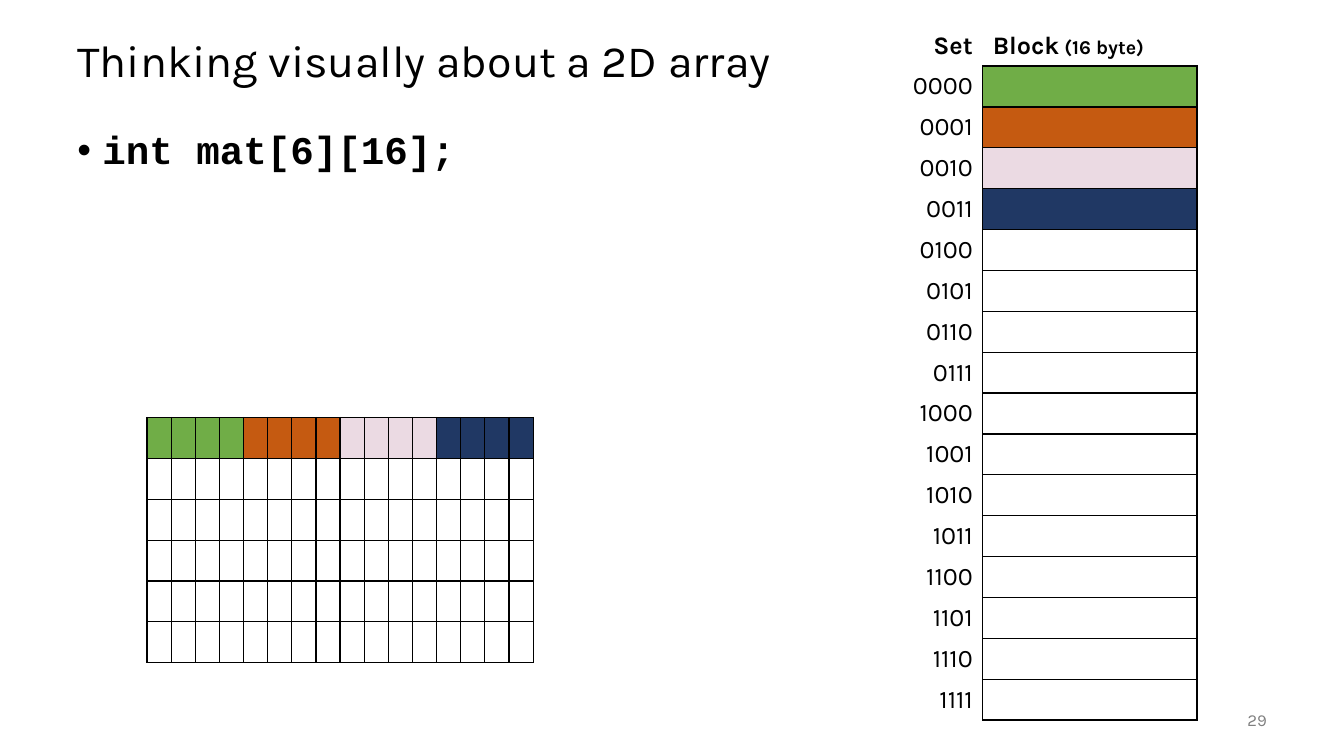
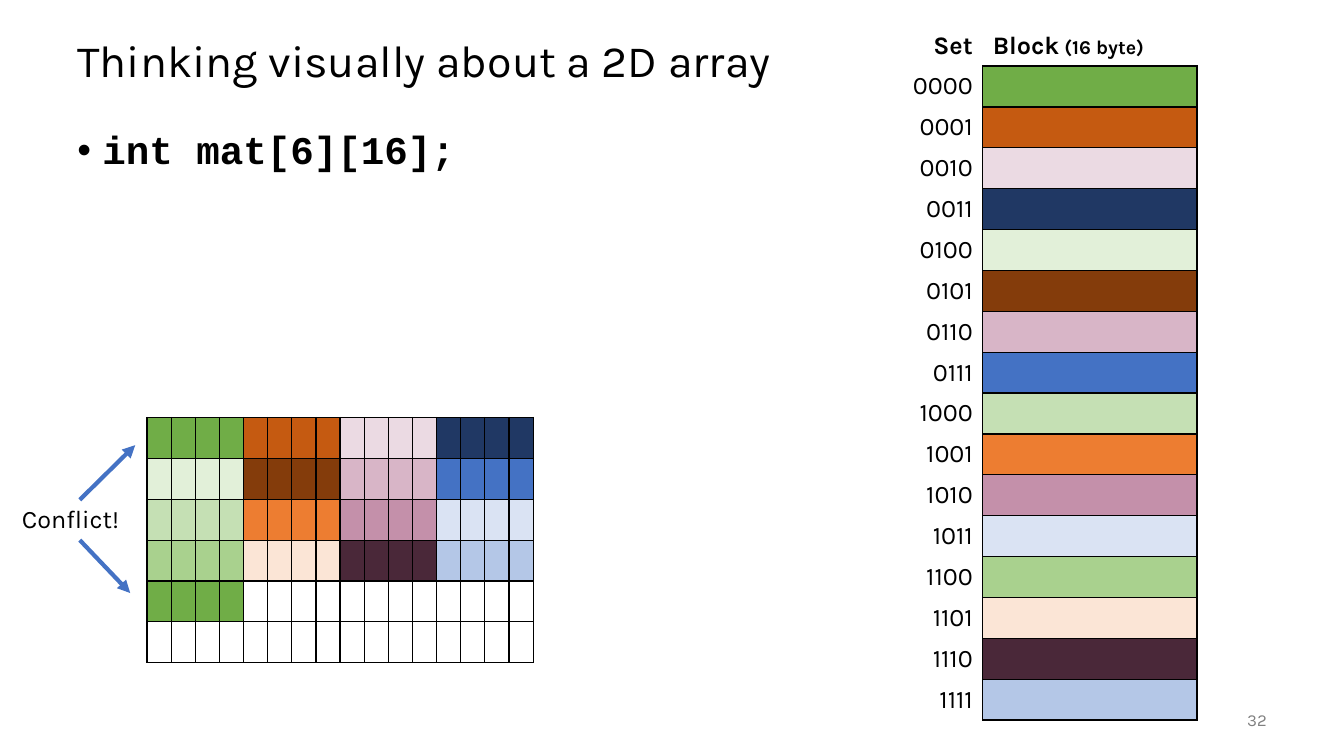
"""Build two slides that map a 2D array onto the sets of a cache."""
import pptx
import pptx.dml.color
import pptx.enum.shapes
import pptx.enum.text
import pptx.oxml
import pptx.oxml.ns
import pptx.util

ALIGN = pptx.enum.text.PP_ALIGN
ANCHOR = pptx.enum.text.MSO_ANCHOR
NS = pptx.oxml.ns.nsdecls("a")
PLAIN = "{2D5ABB26-0587-4C30-8999-92F81FD0307C}"
COLS, ROWS = 160, 90
BLACK, WHITE, GREY, BLUE = "000000", "FFFFFF", "808080", "4472C4"
HUES = [
    "70AD47", "C55A11", "EBDAE3", "203864",
    "E2F0D9", "843C0B", "D8B5C7", "4472C4",
    "C5E0B4", "ED7D31", "C490AA", "DAE3F3",
    "A9D18E", "FBE5D6", "4A2839", "B4C7E7",
]
SETS = len(HUES)
WIDE, HIGH, RUN = 16, 6, 4
STEP = 4.87
ALL = "LRTB"


def tint(code):
    return pptx.dml.color.RGBColor.from_string(code)


def node(xml):
    return pptx.oxml.parse_xml(xml)


def apply(item, form):
    for key, val in form.items():
        setattr(item, key, val)


class Deck:
    base = {"name": "Karla", "size": 18, "bold": False}

    def __init__(self):
        self.prs = pptx.Presentation()
        self.prs.slide_width = pptx.util.Inches(13.33)
        self.prs.slide_height = pptx.util.Inches(7.5)
        self.slide = None

    def x(self, cols):
        return round(self.prs.slide_width * cols / COLS)

    def y(self, rows):
        return round(self.prs.slide_height * rows / ROWS)

    def area(self, left, top, width, height):
        return self.x(left), self.y(top), self.x(width), self.y(height)

    def words(self, para, text, color=BLACK, **form):
        run = para.add_run()
        run.text = text
        form = {**self.base, **form}
        form["size"] = pptx.util.Pt(form["size"])
        apply(run.font, form)
        run.font.color.rgb = tint(color)

    def place(self, shape, area, anchor):
        names = ("left", "top", "width", "height")
        apply(shape, dict(zip(names, self.area(*area))))
        apply(shape.text_frame, {
            "word_wrap": True,
            "auto_size": pptx.enum.text.MSO_AUTO_SIZE.NONE,
            "vertical_anchor": anchor,
        })
        para = shape.text_frame.paragraphs[0]
        apply(para, {"alignment": ALIGN.LEFT, "line_spacing": 0.9,
                     "space_before": pptx.util.Pt(0)})
        return para

    def start(self, title, code, page):
        self.slide = self.prs.slides.add_slide(self.prs.slide_layouts[1])
        head, body = self.slide.placeholders
        para = self.place(head, (8, 3, 144, 9), ANCHOR.MIDDLE)
        self.words(para, title, size=32)
        para = self.place(body, (8, 15, 144, 66), ANCHOR.TOP)
        props = para._p.get_or_add_pPr()
        inset = pptx.util.Inches(0.25)
        props.set("marL", str(inset))
        props.set("indent", str(-inset))
        props.append(node(f'<a:buFont {NS} typeface="Arial"/>'))
        props.append(node(f'<a:buChar {NS} char="•"/>'))
        self.words(para, code, name="Courier New", size=28, bold=True)
        self.label(page, (140, 83.4, 12, 4.8), ALIGN.RIGHT, size=12, color=GREY)

    def label(self, text, area, align=ALIGN.LEFT, **form):
        box = self.slide.shapes.add_textbox(*self.area(*area))
        para = self.place(box, area, ANCHOR.MIDDLE)
        para.alignment = align
        self.words(para, text, **form)

    def table(self, left, top, widths, count):
        area = self.area(left, top, sum(widths), STEP * count)
        frame = self.slide.shapes.add_table(count, len(widths), *area)
        table = frame.table
        apply(table, {"first_row": False, "horz_banding": False})
        table._tbl.tblPr.find(pptx.oxml.ns.qn("a:tableStyleId")).text = PLAIN
        for col, width in zip(table.columns, widths):
            col.width = self.x(width)
        for row in table.rows:
            row.height = self.y(STEP)
        return table

    def cell(self, cell, color=WHITE, sides="", runs=(), align=ALIGN.LEFT):
        apply(cell, {"margin_top": 0, "margin_bottom": 0,
                     "vertical_anchor": ANCHOR.MIDDLE})
        cell.fill.solid()
        cell.fill.fore_color.rgb = tint(color)
        props = cell._tc.get_or_add_tcPr()
        for spot, side in enumerate(sides):
            props.insert(spot, node(
                f'<a:ln{side} {NS} w="12700"><a:solidFill>'
                f'<a:srgbClr val="{BLACK}"/></a:solidFill></a:ln{side}>'))
        para = cell.text_frame.paragraphs[0]
        para.alignment = align
        for text, form in runs:
            self.words(para, text, **form)

    def cache(self, used):
        table = self.table(106.3, 3, (10.7, 25.5), SETS + 1)
        bold = {"bold": True}
        self.cell(table.cell(0, 0), runs=[("Set", bold)], align=ALIGN.RIGHT)
        self.cell(table.cell(0, 1), sides="B", runs=[
            ("Block", bold), (" (16 byte)", {"bold": True, "size": 14})])
        for num, hue in enumerate(HUES):
            name = [(f"{num:04b}", {})]
            self.cell(table.cell(num + 1, 0), sides="R", runs=name,
                      align=ALIGN.RIGHT)
            self.cell(table.cell(num + 1, 1), hue if num < used else WHITE, ALL)

    def array(self, used):
        table = self.table(17.5, 49.7, [2.87] * WIDE, HIGH)
        for row in range(HIGH):
            for col in range(WIDE):
                block = (row * WIDE + col) // RUN
                hue = HUES[block % SETS] if block < used else WHITE
                self.cell(table.cell(row, col), hue, ALL)

    def arrow(self, start, end):
        line = self.slide.shapes.add_connector(
            pptx.enum.shapes.MSO_CONNECTOR.STRAIGHT,
            self.x(start[0]), self.y(start[1]), self.x(end[0]), self.y(end[1]))
        line.line.width = pptx.util.Pt(3)
        line.line.color.rgb = tint(BLUE)
        line.line._get_or_add_ln().append(
            node(f'<a:tailEnd {NS} type="triangle"/>'))
        line._element.spPr.append(node(f"<a:effectLst {NS}/>"))


def main():
    deck = Deck()
    for page, used in (("29", 4), ("32", 17)):
        deck.start("Thinking visually about a 2D array", "int mat[6][16];", page)
        deck.cache(used)
        deck.array(used)
    deck.label("Conflict!", (1.44, 59.5, 16, 4.8))
    deck.arrow((9.5, 59.5), (16.1, 53))
    deck.arrow((9.5, 64.3), (15.5, 70.6))
    deck.prs.save("out.pptx")


if __name__ == "__main__":
    main()
